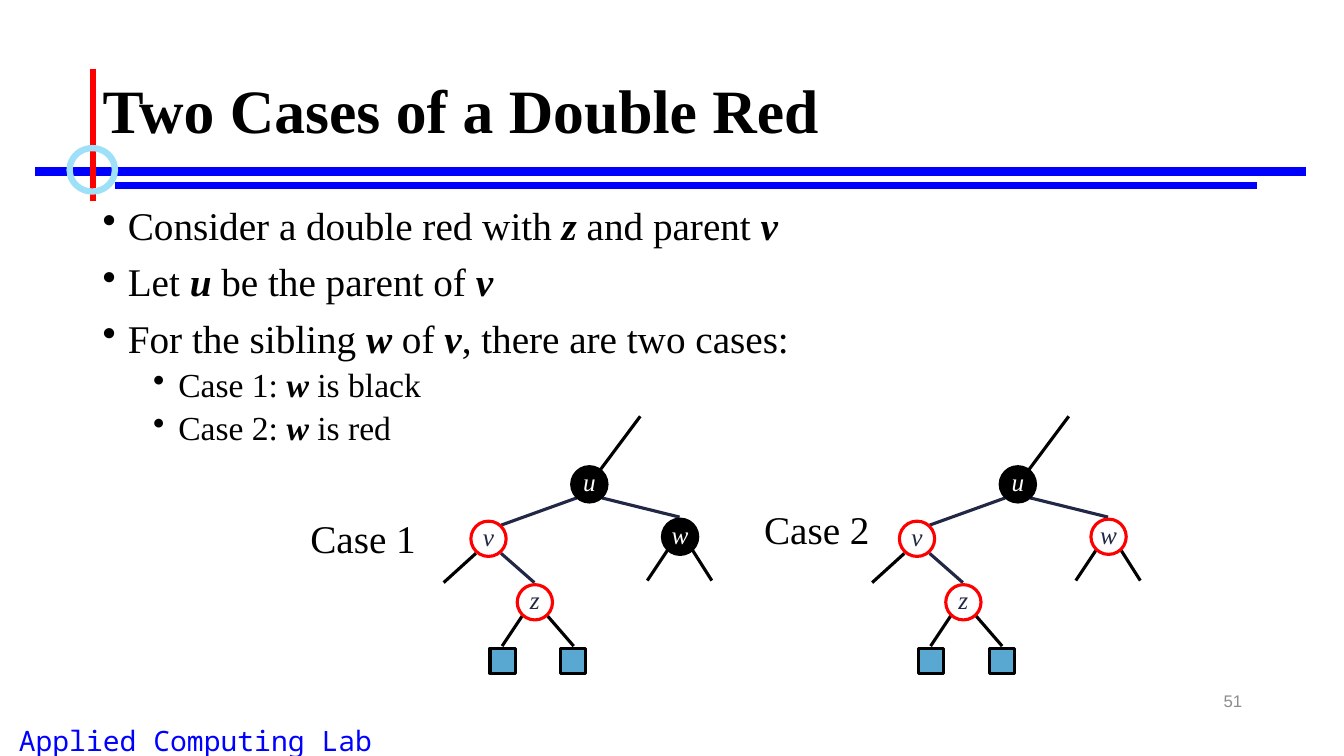
from dataclasses import dataclass

from lxml.etree import SubElement
from pptx import Presentation
from pptx.dml.color import RGBColor
from pptx.enum.shapes import MSO_CONNECTOR as Connector, MSO_SHAPE as Shape
from pptx.enum.text import MSO_ANCHOR as Anchor, PP_ALIGN as Align
from pptx.oxml.ns import qn
from pptx.util import Inches, Pt

COLORS = {
    "black": "000000", "white": "FFFFFF", "red": "FF0000", "blue": "0000FF",
    "sky": "9EE0F8", "navy": "212745", "leaf": "59A8D1", "gray": "8C8C8C",
}
SERIF = "Times New Roman"
NODE_SIZE = 0.35
LEAF_SIZE = 0.25
TREE_LINE = 2.25


@dataclass
class Line:
    x1: float
    y1: float
    x2: float
    y2: float
    color: str = "black"
    width: float = TREE_LINE


@dataclass
class Node:
    name: str
    x: float
    y: float
    black: bool = False


@dataclass
class Label:
    text: str
    x: float
    y: float
    width: float
    height: float
    size: float
    font: str = SERIF
    color: str = "black"
    bold: bool = False
    align: Align = Align.LEFT
    anchor: Anchor = Anchor.TOP
    wrap: bool = True
    spacing: float = 1.0


@dataclass
class Bullet:
    text: str  # variables stand between asterisks
    level: int = 0


@dataclass
class Case:
    label: Label
    offset: float
    w_black: bool


RULES = [
    Line(0.35, 1.7, 12.95, 1.7, "blue", 6),
    Line(1.14, 1.84, 12.47, 1.84, "blue", 4.5),
    Line(0.92, 0.68, 0.92, 1.99, "red", 4.5),
]
LABELS = [
    Label("Applied Computing Lab", -0.58, 7.13, 5.04, 0.43, 20,
          "Noto Sans Mono", "blue", align=Align.CENTER),
    Label("51", 9.42, 6.75, 3, 0.4, 12, "Arial", "gray",
          align=Align.RIGHT, anchor=Anchor.MIDDLE),
    Label("Two Cases of a Double Red", 0.92, 0.4, 11.5, 1.45, 44,
          bold=True, anchor=Anchor.MIDDLE, spacing=0.9),
]
BULLETS = [
    Bullet("Consider a double red with *z* and parent *v*"),
    Bullet("Let *u* be the parent of *v*"),
    Bullet("For the sibling *w* of *v*, there are two cases:"),
    Bullet("Case 1: *w* is black", 1),
    Bullet("Case 2: *w* is red", 1),
]
CASES = [
    Case(Label("Case 1", 2.98, 5.05, 1.25, 0.57, 28, wrap=False), 0, True),
    Case(Label("Case 2", 7.48, 4.96, 1.25, 0.57, 28, wrap=False), 4.25, False),
]
EDGES = [
    Line(6.35, 4.13, 5.85, 4.8),
    Line(6.74, 5.13, 5.97, 4.94, "navy"),
    Line(4.97, 5.21, 5.72, 4.94, "navy"),
    Line(5.3, 5.78, 4.97, 5.49, "navy"),
    Line(4.4, 5.78, 4.72, 5.49),
    Line(7.06, 5.76, 6.87, 5.46),
    Line(6.42, 5.76, 6.62, 5.46),
    Line(5.69, 6.41, 5.43, 6.11),
    Line(4.98, 6.41, 5.18, 6.11),
]
LEAVES = [(4.86, 6.43), (5.56, 6.43)]


def rgb(name: str) -> RGBColor:
    return RGBColor.from_string(COLORS[name])


def style_font(font, size: float, name: str, color: str) -> None:
    font.size, font.name = Pt(size), name
    font.color.rgb = rgb(color)


def draw_line(shapes, line: Line, offset: float = 0) -> None:
    connector = shapes.add_connector(
        Connector.STRAIGHT, Inches(line.x1 + offset), Inches(line.y1),
        Inches(line.x2 + offset), Inches(line.y2))
    connector.line.color.rgb = rgb(line.color)
    connector.line.width = Pt(line.width)
    SubElement(connector.element.spPr, qn("a:effectLst"))


def draw_shape(shapes, kind: Shape, x: float, y: float, width: float, height: float,
               outline: str, weight: float = TREE_LINE, fill: str | None = None):
    shape = shapes.add_shape(kind, Inches(x), Inches(y), Inches(width), Inches(height))
    shape.shadow.inherit = False
    if fill:
        shape.fill.solid()
        shape.fill.fore_color.rgb = rgb(fill)
    else:
        shape.fill.background()
    shape.line.color.rgb = rgb(outline)
    shape.line.width = Pt(weight)
    return shape


def draw_label(shapes, label: Label) -> None:
    box = shapes.add_textbox(Inches(label.x), Inches(label.y),
                             Inches(label.width), Inches(label.height))
    frame = box.text_frame
    frame.word_wrap = label.wrap
    frame.vertical_anchor = label.anchor
    paragraph = frame.paragraphs[0]
    paragraph.text = label.text
    paragraph.alignment = label.align
    paragraph.line_spacing = label.spacing
    style_font(paragraph.font, label.size, label.font, label.color)
    paragraph.font.bold = label.bold


def draw_node(shapes, node: Node, offset: float) -> None:
    circle = draw_shape(shapes, Shape.OVAL, node.x + offset, node.y, NODE_SIZE, NODE_SIZE,
                        "black" if node.black else "red",
                        fill="black" if node.black else None)
    frame = circle.text_frame
    frame.word_wrap = False
    frame.vertical_anchor = Anchor.MIDDLE
    frame.margin_left = frame.margin_right = frame.margin_top = 0
    frame.margin_bottom = Inches(0.05)
    paragraph = frame.paragraphs[0]
    paragraph.text = node.name
    paragraph.alignment = Align.CENTER
    style_font(paragraph.font, 18, SERIF, "white" if node.black else "navy")
    paragraph.font.italic = True


def draw_bullets(shapes, bullets: list[Bullet]) -> None:
    box = shapes.add_textbox(Inches(0.92), Inches(2), Inches(11.5), Inches(4.76))
    frame = box.text_frame
    frame.word_wrap = True
    for index, bullet in enumerate(bullets):
        paragraph = frame.add_paragraph() if index else frame.paragraphs[0]
        paragraph.level = bullet.level
        paragraph.line_spacing = 0.9
        paragraph.space_before = Pt(5 if bullet.level else 10)
        style_font(paragraph.font, 24 if bullet.level else 28, SERIF, "black")
        properties = paragraph._p.get_or_add_pPr()
        properties.set("marL", str(Inches(0.25 + 0.5 * bullet.level)))
        properties.set("indent", str(Inches(-0.25)))
        mark = properties.makeelement(qn("a:buChar"), {"char": "•"})
        properties.find(qn("a:defRPr")).addprevious(mark)
        for position, part in enumerate(bullet.text.split("*")):
            if part:
                run = paragraph.add_run()
                run.text = part
                run.font.bold = run.font.italic = position % 2 == 1


def draw_case(shapes, case: Case) -> None:
    tree = shapes.add_group_shape().shapes
    for edge in EDGES:
        draw_line(tree, edge, case.offset)
    for node in (Node("u", 5.67, 4.63, True), Node("v", 4.67, 5.17),
                 Node("w", 6.57, 5.15, case.w_black), Node("z", 5.13, 5.8)):
        draw_node(tree, node, case.offset)
    for x, y in LEAVES:
        draw_shape(tree, Shape.RECTANGLE, x + case.offset, y, LEAF_SIZE, LEAF_SIZE,
                   "black", fill="leaf")
    draw_label(shapes, case.label)


def main() -> None:
    presentation = Presentation()
    presentation.slide_width, presentation.slide_height = Inches(13.33), Inches(7.5)
    shapes = presentation.slides.add_slide(presentation.slide_layouts[6]).shapes

    # Frame lines and ring
    for rule in RULES:
        draw_line(shapes, rule)
    draw_shape(shapes, Shape.OVAL, 0.69, 1.47, 0.45, 0.43, "sky", 4.5)

    # Title, footer, page number and bullets
    for label in LABELS:
        draw_label(shapes, label)
    draw_bullets(shapes, BULLETS)

    # The two trees
    for case in CASES:
        draw_case(shapes, case)
    presentation.save("out.pptx")


if __name__ == "__main__":
    main()
